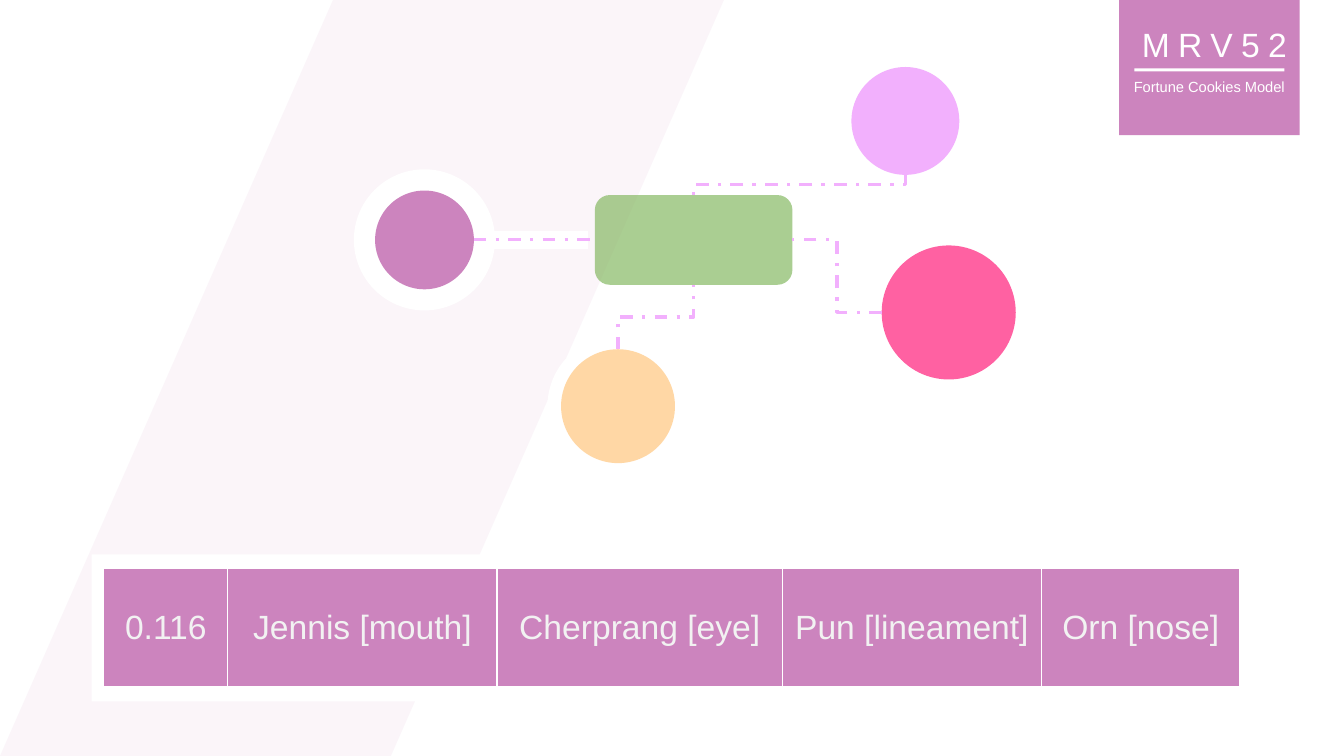
from lxml.etree import SubElement
from pptx import Presentation
from pptx.dml.color import RGBColor
from pptx.enum.dml import MSO_LINE_DASH_STYLE as Dash
from pptx.enum.shapes import MSO_CONNECTOR as Connector, MSO_SHAPE as Shape
from pptx.enum.text import MSO_ANCHOR as Anchor, PP_ALIGN as Align
from pptx.oxml.ns import qn
from pptx.util import Inches, Pt

WHITE = RGBColor(0xFF, 0xFF, 0xFF)
PALE_GREY = RGBColor(0xF2, 0xF2, 0xF2)
ORCHID = RGBColor(0xCC, 0x84, 0xBE)
LILAC = RGBColor(0xF2, 0xB0, 0xFD)
PEACH = RGBColor(0xFF, 0xCD, 0x8C)
PINK = RGBColor(0xFF, 0x61, 0xA2)
GREEN = RGBColor(0x70, 0xAD, 0x47)


def set_all(target, values):
    for name, value in values.items():
        setattr(target, name, value)


class ModelSlide:
    font = {"name": "Arial", "bold": False}
    box_frame = {"word_wrap": True, "vertical_anchor": Anchor.TOP,
                 "margin_left": Inches(0.1), "margin_right": Inches(0.1),
                 "margin_top": Inches(0.05), "margin_bottom": Inches(0.05)}
    cell_frame = {"vertical_anchor": Anchor.MIDDLE, "margin_left": Inches(0.01),
                  "margin_right": Inches(0.01), "margin_top": Inches(0.01),
                  "margin_bottom": 0}
    link_line = {"width": Pt(2.25), "dash_style": Dash.DASH_DOT}

    def __init__(self, presentation):
        self.slide = presentation.slides.add_slide(presentation.slide_layouts[5])
        self.shapes = self.slide.shapes

    def shape(self, kind, left, top, width, height, color, opacity=100):
        shape = self.shapes.add_shape(
            kind, Inches(left), Inches(top), Inches(width), Inches(height))
        shape.shadow.inherit = False
        shape.fill.solid()
        shape.fill.fore_color.rgb = color
        shape.line.fill.background()
        if opacity < 100:
            srgb = shape.element.spPr.find(qn("a:solidFill"))[0]
            SubElement(srgb, qn("a:alpha"), val=str(opacity * 1000))
        return shape

    def circle(self, center, diameter, color, opacity=100):
        x, y = center
        return self.shape(Shape.OVAL, x - diameter / 2, y - diameter / 2,
                          diameter, diameter, color, opacity)

    def fill_text(self, frame, text, size, color):
        paragraph = frame.paragraphs[0]
        paragraph.alignment = Align.CENTER
        run = paragraph.add_run()
        run.text = text
        set_all(run.font, {**self.font, "size": Pt(size)})
        run.font.color.rgb = color

    def title(self, text, left, top, width, height, size, spacing, above):
        """Place the title just in front of the shape given as above."""
        title = self.shapes.title
        set_all(title, {"left": Inches(left), "top": Inches(top),
                        "width": Inches(width), "height": Inches(height)})
        set_all(title.text_frame, self.box_frame)
        self.fill_text(title.text_frame, text, size, WHITE)
        title.element.find(".//" + qn("a:rPr")).set("spc", str(spacing * 100))
        above.element.addnext(title.element)

    def text(self, text, left, top, width, height, size):
        box = self.shapes.add_textbox(
            Inches(left), Inches(top), Inches(width), Inches(height))
        set_all(box.text_frame, self.box_frame)
        self.fill_text(box.text_frame, text, size, WHITE)

    def link(self, kind, start, end):
        link = self.shapes.add_connector(
            kind, *(Inches(value) for value in (*start, *end)))
        set_all(link.line, self.link_line)
        link.line.color.rgb = LILAC
        SubElement(link.element.spPr, qn("a:effectLst"))
        return link

    def upright_elbow(self, start, end):
        """Elbow that leaves vertically, going down-left or up-right."""
        (x1, y1), (x2, y2) = start, end
        center_x, center_y = (x1 + x2) / 2, (y1 + y2) / 2
        half_w, half_h = abs(y2 - y1) / 2, abs(x2 - x1) / 2
        link = self.link(Connector.ELBOW,
                         (center_x - half_w, center_y - half_h),
                         (center_x + half_w, center_y + half_h))
        degrees = 90 if y2 > y1 else 270
        link.element.spPr.find(qn("a:xfrm")).set("rot", str(degrees * 60000))

    def table(self, left, top, height, columns):
        widths = [Inches(width) for _, width in columns]
        table = self.shapes.add_table(
            1, len(columns), Inches(left), Inches(top), sum(widths), Inches(height)).table
        set_all(table, {"first_row": False, "horz_banding": False})
        for index, (label, _) in enumerate(columns):
            table.columns[index].width = widths[index]
            cell = table.cell(0, index)
            set_all(cell, self.cell_frame)
            self.fill_text(cell.text_frame, label, 24, PALE_GREY)
            self.borders(cell)
            cell.fill.solid()
            cell.fill.fore_color.rgb = ORCHID

    def borders(self, cell):
        properties = cell._tc.get_or_add_tcPr()
        for side in ("lnL", "lnR", "lnT", "lnB"):
            line = SubElement(properties, qn(f"a:{side}"), w=str(Pt(1)))
            SubElement(SubElement(line, qn("a:solidFill")), qn("a:srgbClr"), val=str(WHITE))


def main():
    presentation = Presentation()
    set_all(presentation, {"slide_width": Inches(13.33), "slide_height": Inches(7.5)})
    page = ModelSlide(presentation)

    band = page.shape(Shape.PARALLELOGRAM, 0, 0, 7.18, 7.5, ORCHID, 8)
    band.adjustments[0] = 0.46

    badge = page.shape(Shape.RECTANGLE, 11.1, 0, 1.79, 1.34, ORCHID)
    page.title("MRV52", 11.14, 0.19, 1.81, 0.5, size=24, spacing=6, above=badge)
    page.shape(Shape.RECTANGLE, 11.25, 0.68, 1.49, 0.03, WHITE)
    page.text("Fortune Cookies Model", 10.66, 0.72, 2.67, 0.28, size=10.5)

    hub_x, hub_y, hub_w, hub_h = 6.88, 2.38, 1.96, 0.89
    orchid, orchid_d = (4.21, hub_y), 0.98
    lilac, lilac_d = (8.98, 1.2), 1.07
    peach, peach_d = (6.13, 4.03), 1.13
    pink, pink_d = (9.41, 3.1), 1.33

    page.circle(peach, 1.4, WHITE)
    page.shape(Shape.RECTANGLE, 4.74, 2.29, 1.09, 0.18, WHITE)
    page.circle(orchid, 1.4, WHITE)
    page.circle(orchid, orchid_d, ORCHID)
    page.circle(lilac, lilac_d, LILAC)
    page.circle(peach, peach_d, PEACH, 78)
    page.circle(pink, pink_d, PINK)
    hub = page.shape(Shape.ROUNDED_RECTANGLE, hub_x - hub_w / 2, hub_y - hub_h / 2,
                     hub_w, hub_h, GREEN, 59)

    orchid_link = page.link(Connector.STRAIGHT, (orchid[0] + orchid_d / 2, hub_y),
                            (hub_x - hub_w / 2, hub_y))
    orchid_link.end_connect(hub, 1)
    page.upright_elbow((peach[0], peach[1] - peach_d / 2), (hub_x, hub_y + hub_h / 2))
    page.link(Connector.ELBOW, (pink[0] - pink_d / 2, pink[1]), (hub_x + hub_w / 2, hub_y))
    page.upright_elbow((lilac[0], lilac[1] + lilac_d / 2), (hub_x, hub_y - hub_h / 2))

    page.shape(Shape.RECTANGLE, 0.91, 5.5, 4.33, 1.46, WHITE)
    page.table(1.03, 5.64, 1.17, [
        ("0.116", 1.23), ("Jennis [mouth]", 2.67), ("Cherprang [eye]", 2.83),
        ("Pun [lineament]", 2.57), ("Orn [nose]", 1.97)])

    presentation.save("out.pptx")


if __name__ == "__main__":
    main()
